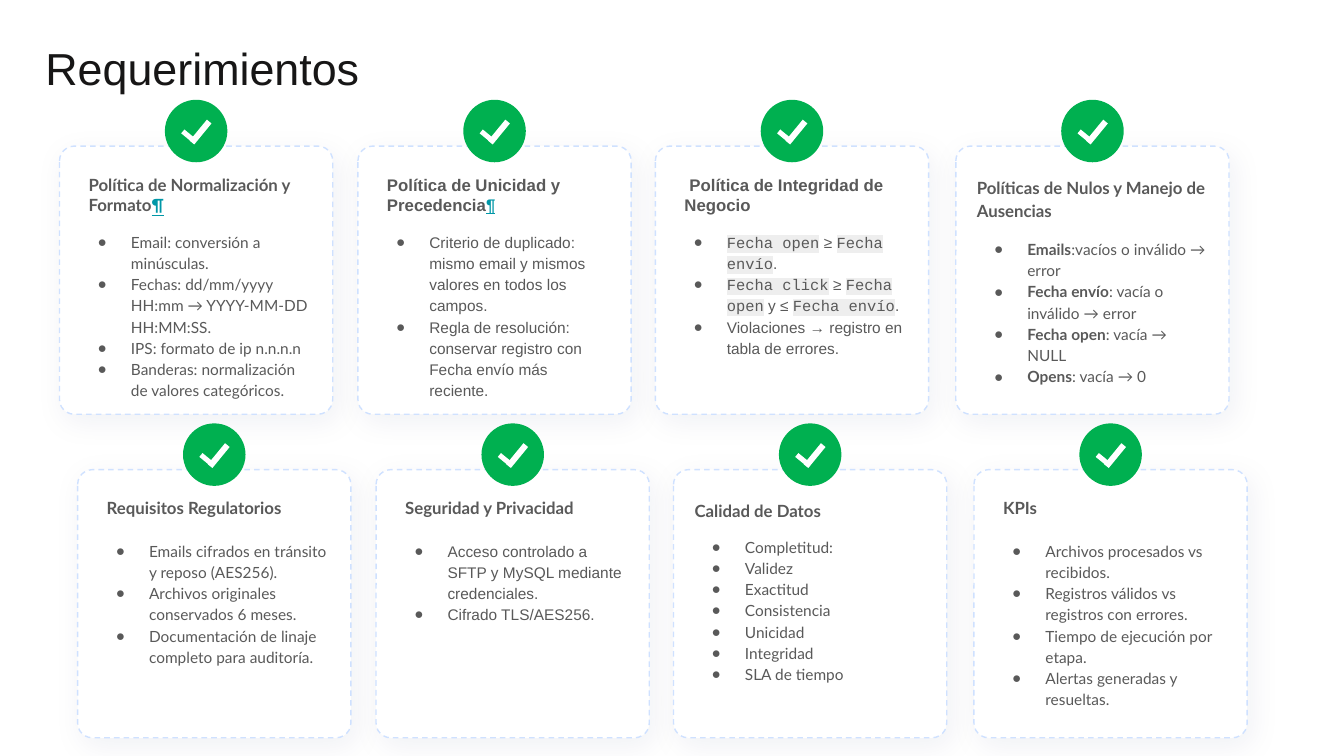
from lxml import etree
from pptx import Presentation
from pptx.dml.color import RGBColor
from pptx.enum import shapes, text
from pptx.oxml.ns import qn
from pptx.util import Inches, Pt

GREY, GREEN, WHITE, TEAL = "595959", "00B050", "FFFFFF", "0097A7"
MARK = ("¶", {"color": TEAL, "under": True})
CODE = {"font": "Courier New", "mark": "EEEEEE"}
BOLD = {"bold": True}
OPEN, SENT, CLICK = ("Fecha open", CODE), ("Fecha envío", CODE), ("Fecha click", CODE)

# Each card: heading runs, bullets (text or runs), format
ROWS = [
    [
        (["Política de Normalización y Formato", MARK],
         ["Email: conversión a minúsculas.",
          "Fechas: dd/mm/yyyy HH:mm → YYYY-MM-DD HH:MM:SS.",
          "IPS: formato de ip n.n.n.n",
          "Banderas: normalización de valores categóricos."],
         {"gap": 11, "high": 2.33}),
        (["Política de Unicidad y Precedencia", MARK],
         ["Criterio de duplicado: mismo email y mismos valores en todos los campos.",
          "Regla de resolución: conservar registro con Fecha envío más reciente."],
         {"gap": 11, "high": 2.33, "head": "Arial", "body": "Arial"}),
        (["Política de Integridad de Negocio"],
         [[OPEN, " ≥ ", SENT, "."],
          [CLICK, " ≥ ", OPEN, " y ≤ ", SENT, "."],
          "Violaciones → registro en tabla de errores."],
         {"gap": 11, "high": 1.91, "head": "Arial", "body": "Arial", "first": 0.05}),
        (["Políticas de Nulos y Manejo de Ausencias"],
         [[("Emails", BOLD), ":vacíos o inválido → error"],
          [("Fecha envío", BOLD), ": vacía o inválido → error"],
          [("Fecha open", BOLD), ": vacía → NULL"],
          [("Opens", BOLD), ": vacía → 0"]],
         {"gap": 12, "high": 2.2, "left": 0, "lead": 1.15}),
    ],
    [
        (["Requisitos Regulatorios"],
         ["Emails cifrados en tránsito y reposo (AES256).",
          "Archivos originales conservados 6 meses.",
          "Documentación de linaje completo para auditoría."],
         {"gap": 15, "high": 1.76}),
        (["Seguridad y Privacidad"],
         ["Acceso controlado a SFTP y MySQL mediante credenciales.",
          "Cifrado TLS/AES256."],
         {"gap": 15, "high": 1.72, "body": "Arial"}),
        (["Calidad de Datos"],
         ["Completitud:", "Validez", "Exactitud", "Consistencia", "Unicidad",
          "Integridad", "SLA de tiempo"],
         {"gap": 10, "high": 2, "left": 0, "lead": 1.15}),
        (["KPIs"],
         ["Archivos procesados vs recibidos.",
          "Registros válidos vs registros con errores.",
          "Tiempo de ejecución por etapa.",
          "Alertas generadas y resueltas."],
         {"gap": 15, "high": 2.19}),
    ],
]
LEFTS = [0.59, 3.55, 6.5, 9.48]
TOPS = [1.45, 4.66]
SHIFT = 0.18  # each row starts this much further right
WIDE, HIGH, DISC = 2.71, 2.66, 0.62
TICK = [(0.22, 0.29, 0.27, 0.06, 309.4), (0.16, 0.34, 0.16, 0.05, 39.4)]


def rgb(code):
    return RGBColor.from_string(code)


def node(up, tag, **attrs):
    return etree.SubElement(up, qn(tag), attrs)


def add_run(para, words, font="Lato", size=11, color=GREY, bold=False,
            under=None, mark=None):
    run = para.add_run()
    run.text = words
    face = run.font
    face.name, face.size, face.bold, face.underline = font, Pt(size), bold, under
    face.color.rgb = rgb(color)
    if mark:
        glow = etree.Element(qn("a:highlight"))
        node(glow, "a:srgbClr", val=mark)
        face._element.find(qn("a:solidFill")).addnext(glow)


def add_runs(para, runs, **base):
    for part in [runs] if isinstance(runs, str) else runs:
        words, extra = (part, {}) if isinstance(part, str) else part
        add_run(para, words, **{**base, **extra})


def indent(para, left, first):
    props = para._p.get_or_add_pPr()
    props.set("marL", str(Inches(left)))
    props.set("indent", str(Inches(first)))
    return props


def add_shape(kind, x, y, w, h, fill=WHITE, turn=0):
    shape = slide.shapes.add_shape(kind, Inches(x), Inches(y), Inches(w), Inches(h))
    shape.shadow.inherit = False
    shape.fill.solid()
    shape.fill.fore_color.rgb = rgb(fill)
    shape.line.fill.background()
    shape.rotation = turn
    return shape


def add_panel(x, y):
    """Dashed rounded box with a soft shadow."""
    panel = add_shape(shapes.MSO_SHAPE.ROUNDED_RECTANGLE, x, y, WIDE, HIGH)
    panel.adjustments[0] = 0.055
    panel.line.color.rgb = rgb("CFE1FF")
    panel.line.width = Pt(1)
    line = panel.line._get_or_add_ln()
    node(line, "a:prstDash", val="dash")
    effects = panel._element.spPr.find(qn("a:effectLst"))
    shade = node(effects, "a:outerShdw", blurRad=str(Pt(21)), dist=str(Pt(6)),
                 dir="3600000", algn="ctr", rotWithShape="0")
    tint = node(shade, "a:srgbClr", val="002060")
    node(tint, "a:alpha", val="5000")


def add_badge(x, y):
    """Green disc with a white tick made of two bars."""
    add_shape(shapes.MSO_SHAPE.OVAL, x, y, DISC, DISC, fill=GREEN)
    for dx, dy, w, h, turn in TICK:
        add_shape(shapes.MSO_SHAPE.RECTANGLE, x + dx, y + dy, w, h, turn=turn)


def add_copy(x, y, title, items, gap, high, head="Lato", body="Lato",
             left=0.08, first=0, lead=1.0):
    """Heading and bullets of one card."""
    box = slide.shapes.add_textbox(Inches(x), Inches(y), Inches(2.48), Inches(high))
    frame = box.text_frame
    frame.word_wrap = True
    frame.auto_size = text.MSO_AUTO_SIZE.SHAPE_TO_FIT_TEXT
    para = frame.paragraphs[0]
    indent(para, left, first)
    para.line_spacing = lead
    add_runs(para, title, font=head, size=12, bold=True)
    for i, item in enumerate(items):
        para = frame.add_paragraph()
        props = indent(para, 0.5, -0.33)
        node(node(props, "a:buClr"), "a:srgbClr", val=GREY)
        node(props, "a:buFont", typeface="Arial")
        node(props, "a:buChar", char="●")
        para.line_spacing = 1.15
        para.space_before = Pt(0 if i else gap)
        add_runs(para, item, font=body)


deck = Presentation()
deck.slide_width, deck.slide_height = Inches(13.33), Inches(7.5)
slide = deck.slides.add_slide(deck.slide_layouts[5])

title = slide.shapes.title
title.left, title.top = Inches(0.35), Inches(0.39)
title.width, title.height = Inches(11.15), Inches(0.63)
title.text_frame.vertical_anchor = text.MSO_ANCHOR.MIDDLE
title.text_frame.auto_size = text.MSO_AUTO_SIZE.NONE
para = title.text_frame.paragraphs[0]
para.alignment = text.PP_ALIGN.LEFT
para.line_spacing = 0.9
add_run(para, "Requerimientos", font="Arial", size=32, color="171616")

for r, (top, cards) in enumerate(zip(TOPS, ROWS)):
    for left, (head, items, style) in zip(LEFTS, cards):
        x = left + r * SHIFT
        add_panel(x, top)
        add_badge(x + (WIDE - DISC) / 2, top - 0.46)
        add_copy(x + 0.11, top + 0.23, head, items, **style)

deck.save("out.pptx")
